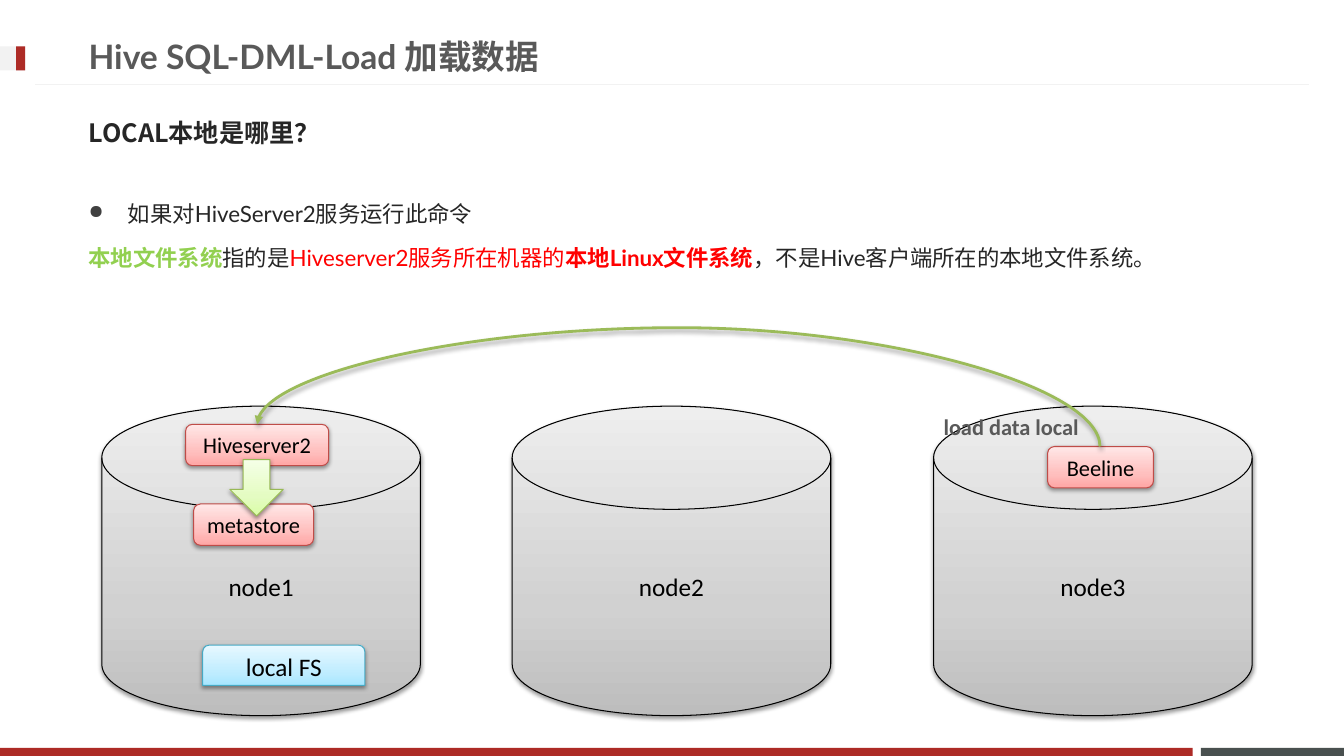
"""Build the slide that explains where LOCAL is when Hive loads data."""
from typing import NamedTuple

from lxml import etree
from pptx import Presentation
from pptx.dml.color import RGBColor
from pptx.enum.shapes import MSO_CONNECTOR, MSO_SHAPE
from pptx.enum.text import MSO_ANCHOR, PP_ALIGN
from pptx.oxml import parse_xml
from pptx.oxml.ns import nsdecls, qn
from pptx.util import Inches, Pt

RECTANGLE = MSO_SHAPE.RECTANGLE
CYLINDER = MSO_SHAPE.FLOWCHART_MAGNETIC_DISK
ROUNDED = MSO_SHAPE.ROUNDED_RECTANGLE
ROUNDED_TOP = MSO_SHAPE.ROUND_2_SAME_RECTANGLE
DOWN_ARROW = MSO_SHAPE.DOWN_ARROW
STRAIGHT = MSO_CONNECTOR.STRAIGHT
CURVE = MSO_CONNECTOR.CURVE
TOP, MIDDLE = MSO_ANCHOR.TOP, MSO_ANCHOR.MIDDLE
CENTER = PP_ALIGN.CENTER

EAST_ASIAN = "Noto Sans CJK JP"
COLORS = {
    "slate": "49504F", "brick": "AD2B26", "pale": "F2F2F2", "body": "262626",
    "heading": "595959", "bullet": "404040", "lime": "92D050", "red": "FF0000",
    "black": "000000", "request": "9BBB59", "service_line": "BF4C48",
    "arrow_line": "98B955", "storage_line": "46AAC5",
}
GRADIENTS = {
    "node": ("BDBDBD", "D1D1D1", "EEEEEE"),
    "service": ("FFA6A5", "FFC0BF", "FFE7E7"),
    "arrow": ("DAFDA7", "E4FCC2", "F5FFE7"),
    "storage": ("A7E6FF", "C1EDFF", "E7F8FF"),
}
STOPS = (0, 35, 100)


class Box(NamedTuple):
    left: float
    top: float
    width: float
    height: float


class Bar(NamedTuple):
    box: Box
    color: str


class Part(NamedTuple):
    kind: int
    box: Box
    gradient: str
    line: str
    label: str = ""
    size: int = 16


class Span(NamedTuple):
    text: str
    size: int = 16
    color: str = "body"
    bold: bool = False
    font: str = "Lato"


class Caption(NamedTuple):
    box: Box
    paragraphs: list[list[Span]]
    anchor: int = MIDDLE
    wrap: bool = True


BARS = [
    Bar(Box(11.91, 7.42, 1.42, 0.08), "slate"),
    Bar(Box(0, 7.42, 11.83, 0.08), "brick"),
    Bar(Box(0, 0.46, 0.25, 0.24), "pale"),
    Bar(Box(0.16, 0.46, 0.09, 0.24), "brick"),
]
BODY = Caption(Box(0.78, 1.8, 11.76, 4.61), [
    [Span("如果对HiveServer2服务运行此命令")],
    [Span("本地文件系统", color="lime", bold=True), Span("指的是"),
     Span("Hiveserver2服务所在机器的", color="red"),
     Span("本地Linux文件系统", color="red", bold=True),
     Span("，不是Hive客户端所在的本地文件系统。")],
], TOP)
HEADINGS = [
    Caption(Box(0.78, 0.27, 9.59, 0.57),
            [[Span("Hive SQL-DML-Load 加载数据", 24, "heading", True)]]),
    Caption(Box(0.78, 1.03, 11.76, 0.57),
            [[Span("LOCAL本地是哪里？", 18, bold=True, font=EAST_ASIAN)]]),
]
COMMAND = Caption(Box(9.26, 4.05, 1.58, 0.37),
                  [[Span("load data local", 16, "heading", True, "Calibri")]], TOP, False)
NODES = [
    Part(CYLINDER, Box(left, 4.03, 3.16, 3.07), "node", "black", f"node{number}", 18)
    for number, left in enumerate((1.01, 5.08, 9.26), 1)
]
SERVICES = [
    Part(ROUNDED, Box(left, top, width, 0.41), "service", "service_line", name)
    for name, left, top, width in (
        ("Hiveserver2", 1.84, 4.21, 1.42), ("metastore", 1.92, 5, 1.19),
        ("Beeline", 10.39, 4.43, 1.05))
]
METADATA_ARROW = Part(DOWN_ARROW, Box(2.28, 4.56, 0.53, 0.56), "arrow", "arrow_line")
STORAGE = Part(ROUNDED_TOP, Box(2.01, 6.4, 1.61, 0.4), "storage", "storage_line", "local FS", 18)


def rgb(name: str) -> RGBColor:
    return RGBColor.from_string(COLORS[name])


def inches(box: Box) -> list:
    return [Inches(value) for value in box]


def add_span(paragraph, span: Span) -> None:
    run = paragraph.add_run()
    run.text = span.text
    font = run.font
    font.name, font.size, font.bold = span.font, Pt(span.size), span.bold
    font.color.rgb = rgb(span.color)
    font._element.find(qn("a:latin")).addnext(
        parse_xml(f'<a:ea {nsdecls("a")} typeface="{EAST_ASIAN}"/>'))


def add_shadow(properties) -> None:
    effects = properties.find(qn("a:effectLst"))
    if effects is None:
        effects = etree.SubElement(properties, qn("a:effectLst"))
    effects.append(parse_xml(
        f'<a:outerShdw {nsdecls("a")} blurRad="{Pt(3.1)}" dist="{Pt(1.6)}" dir="5400000" '
        f'rotWithShape="0"><a:srgbClr val="{COLORS["black"]}"><a:alpha val="38000"/>'
        '</a:srgbClr></a:outerShdw>'))


def add_bar(slide, bar: Bar) -> None:
    shape = slide.shapes.add_shape(RECTANGLE, *inches(bar.box))
    shape.shadow.inherit = False
    shape.fill.solid()
    shape.fill.fore_color.rgb = rgb(bar.color)
    shape.line.fill.background()


def add_part(slide, part: Part) -> None:
    shape = slide.shapes.add_shape(part.kind, *inches(part.box))
    shape.fill.gradient()
    shape.fill.gradient_angle = 90
    stops = shape.element.spPr.find(qn("a:gradFill")).find(qn("a:gsLst"))
    stops[:] = [
        parse_xml(f'<a:gs {nsdecls("a")} pos="{stop * 1000}"><a:srgbClr val="{color}"/></a:gs>')
        for stop, color in zip(STOPS, GRADIENTS[part.gradient])]
    shape.line.color.rgb = rgb(part.line)
    shape.line.width = Pt(0.75)
    shape.shadow.inherit = False
    add_shadow(shape.element.spPr)
    if part.label:
        shape.text_frame.vertical_anchor = MIDDLE
        paragraph = shape.text_frame.paragraphs[0]
        paragraph.alignment = CENTER
        add_span(paragraph, Span(part.label, part.size, "black", font="Calibri"))


def add_caption(slide, caption: Caption) -> list:
    frame = slide.shapes.add_textbox(*inches(caption.box)).text_frame
    frame.word_wrap = caption.wrap
    frame.vertical_anchor = caption.anchor
    for index, spans in enumerate(caption.paragraphs):
        paragraph = frame.add_paragraph() if index else frame.paragraphs[0]
        for span in spans:
            add_span(paragraph, span)
    return list(frame.paragraphs)


def add_body(slide) -> None:
    command, answer = add_caption(slide, BODY)
    command.line_spacing = answer.line_spacing = 1.5
    answer.space_before = Pt(3.2)
    properties = command._p.get_or_add_pPr()
    properties.set("marL", str(Inches(0.39)))
    properties.set("indent", str(-Inches(0.39)))
    color = etree.SubElement(properties, qn("a:buClr"))
    etree.SubElement(color, qn("a:srgbClr"), val=COLORS["bullet"])
    etree.SubElement(properties, qn("a:buSzPct"), val="85000")
    etree.SubElement(properties, qn("a:buChar"), char="●")


def add_line(slide, kind: int, ends: Box, color: str, width: float):
    connector = slide.shapes.add_connector(kind, *inches(ends))
    connector.line.color.rgb = rgb(color)
    connector.line.width = Pt(width)
    etree.SubElement(connector.element.spPr, qn("a:effectLst"))
    return connector


def add_request_curve(slide) -> None:
    connector = add_line(slide, CURVE, Box(6.62, 0.14, 6.84, 8.5), "request", 2)
    properties = connector.element.spPr
    frame = properties.find(qn("a:xfrm"))
    frame.set("rot", "16200000")
    frame.set("flipV", "1")
    geometry = properties.find(qn("a:prstGeom"))
    guides = geometry.find(qn("a:avLst"))
    etree.SubElement(guides, qn("a:gd"), name="adj1", fmla="val 535700")
    etree.SubElement(properties.find(qn("a:ln")), qn("a:tailEnd"), type="triangle")
    add_shadow(properties)


def main() -> None:
    presentation = Presentation()
    presentation.slide_width, presentation.slide_height = Inches(13.33), Inches(7.5)
    slide = presentation.slides.add_slide(presentation.slide_layouts[6])
    for bar in BARS:
        add_bar(slide, bar)
    add_line(slide, STRAIGHT, Box(12.98, 0.84, 0.35, 0.84), "pale", 0.75)
    add_body(slide)
    for heading in HEADINGS:
        add_caption(slide, heading)
    for part in [*NODES, *SERVICES, METADATA_ARROW]:
        add_part(slide, part)
    add_request_curve(slide)
    add_part(slide, STORAGE)
    add_caption(slide, COMMAND)
    presentation.save("out.pptx")


if __name__ == "__main__":
    main()
